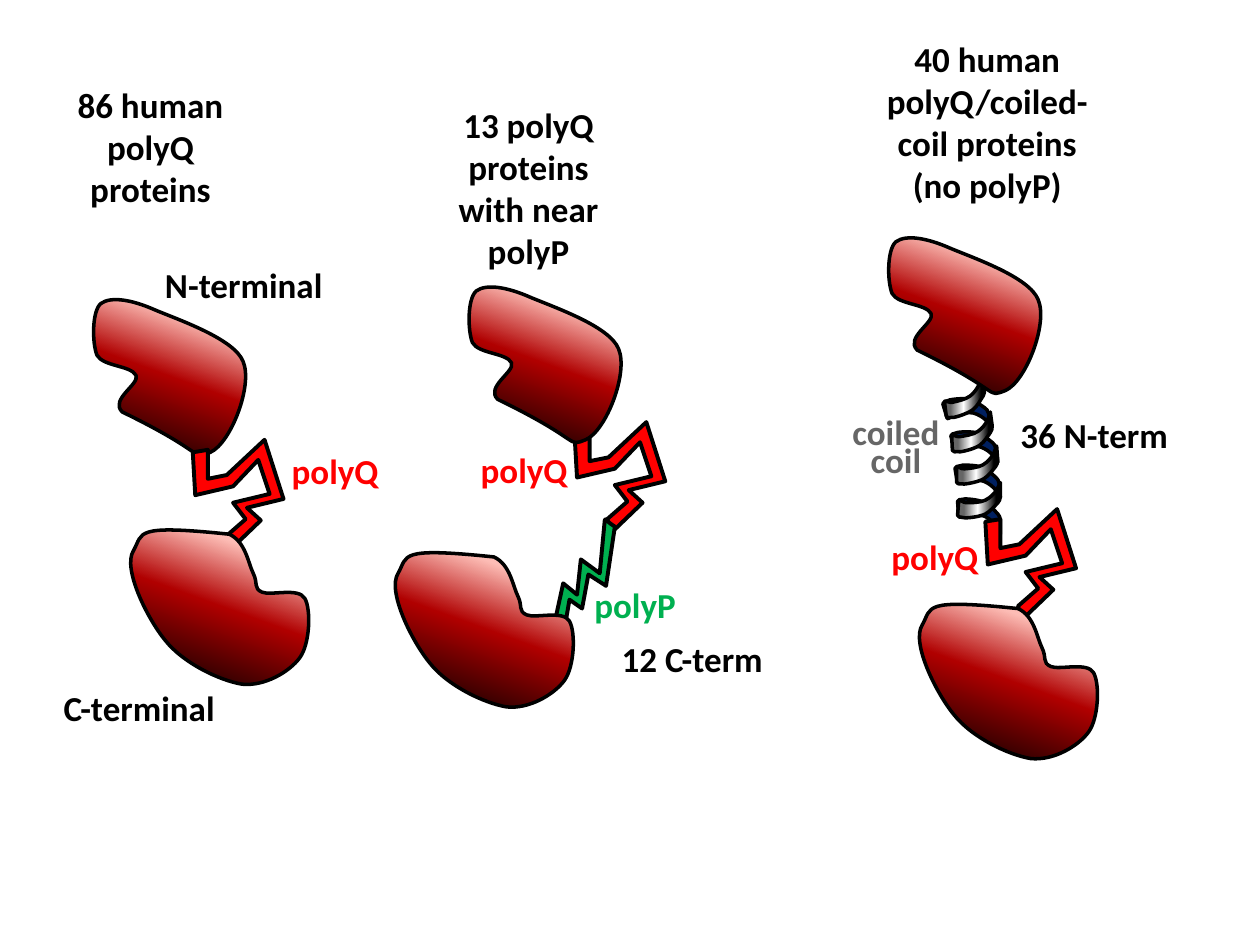
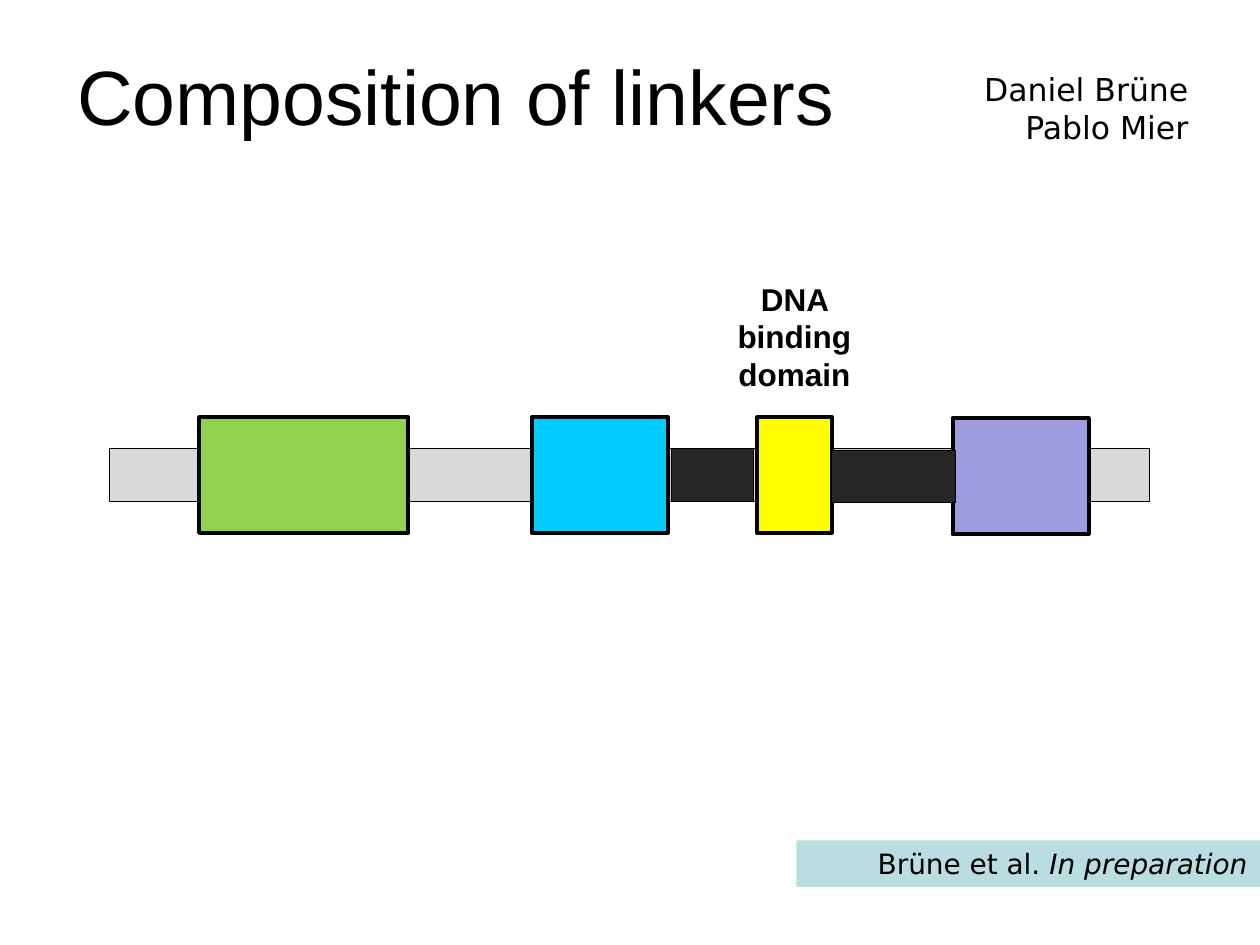
from dataclasses import dataclass
from math import cos, radians, sin

from pptx import Presentation
from pptx.dml.color import RGBColor
from pptx.enum.shapes import MSO_SHAPE
from pptx.enum.text import MSO_ANCHOR, PP_ALIGN
from pptx.oxml import parse_xml
from pptx.oxml.ns import nsdecls, qn
from pptx.oxml.xmlchemy import OxmlElement
from pptx.util import Inches, Pt


@dataclass(frozen=True)
class Theme:
    black: str = "000000"
    red: str = "FF0000"
    green: str = "00B050"
    gray: str = "666666"
    navy: str = "002060"
    footer: str = "BADDE1"
    chain: str = "D9D9D9"
    linker: str = "262626"
    # gradients: clockwise angle, then (percent, colour) stops
    domain: tuple = (110, (20, "FDBCB5"), (50, "B00000"), (96, "000000"))
    helix: tuple = (0, (15, "666666"), (47, "FFFFFF"), (90, "000000"))
    label_font: str = "Calibri"
    title_font: str = "Arial"
    credit_font: str = "DejaVu Sans"
    title_size: int = 44
    label_size: int = 20
    note_size: int = 18
    footer_size: int = 16
    hairline: float = 0.25
    curve_line: float = 2
    thick_line: float = 2.25


THEME = Theme()

# Outlines start at (0, 0), in hundredths of an inch: pairs are lines, sixes are curves.
N_DOMAIN = [
    (-18, -8, -35, -11, -43, -5), (-50, 1, -50, 26, -46, 36),
    (-41, 45, -19, 44, -15, 52), (-12, 59, -36, 71, -26, 81),
    (44, 115, 28, 119, 44, 113), (60, 106, 78, 60, 70, 41), (63, 23, 19, 8, 0, 0),
]
C_DOMAIN = [
    (18, 2, 38, -10, 46, -21), (54, -32, 55, -59, 50, -68),
    (45, -77, 23, -70, 16, -73), (9, -76, 13, -80, 9, -88),
    (5, -96, 3, -113, -10, -119), (-87, -127, -78, -120, -86, -106),
    (-95, -92, -75, -52, -61, -35), (-47, -17, -18, -3, 0, 0),
]
POLY_Q = [
    (25, -24), (14, -34), (43, -41), (28, -88), (-2, -60), (-17, -57), (-17, -80),
    (-29, -78), (-27, -44), (3, -51), (23, -72), (32, -45), (3, -38), (13, -25), (-3, -11),
]
POLY_P = [
    (0, 0, 5, 3, 8, 4), (12, -19), (22, -12), (27, -39), (41, -30), (48, -77),
    (40, -82, 41, -84, 40, -82), (36, -40), (21, -51), (18, -23), (7, -32),
]
COIL_TURN = [
    (-3, 6), (-5, 9, -8, 12, -12, 14), (-16, 16, -23, 16, -27, 16),
    (-30, 16, -32, 13, -33, 14), (-34, 26), (-33, 28, -33, 27, -28, 28),
    (-24, 28, -16, 27, -12, 25), (-8, 23, -4, 18, -2, 16), (0, 14, -1, 14, 0, 11),
]


def draw_outline(page, left, top, outline, fill, line_width, angle=0, mirror=1):
    """Draw a closed outline from (left, top), turned by angle; mirror=-1 flips it vertically."""
    turn_cos, turn_sin = cos(radians(angle)), sin(radians(angle))
    points = []
    for segment in outline:
        for x, y in zip(segment[::2], segment[1::2]):
            y *= mirror
            points.append((10 * (x * turn_cos - y * turn_sin), 10 * (x * turn_sin + y * turn_cos)))
    builder = page.shapes.build_freeform(0, 0, scale=Inches(1) / 1000)
    builder.add_line_segments(points, close=True)
    shape = builder.convert_to_shape(Inches(left), Inches(top))

    lines = iter(list(shape._element.iter(qn("a:lnTo"))))
    for segment in outline:
        steps = [next(lines) for _ in range(len(segment) // 2)]
        if len(steps) == 3:
            curve = OxmlElement("a:cubicBezTo")
            steps[0].addprevious(curve)
            for step in steps:
                curve.append(step[0])
                step.getparent().remove(step)

    shape.shadow.inherit = False
    shape.line.color.rgb = RGBColor.from_string(THEME.black)
    shape.line.width = Pt(line_width)
    if isinstance(fill, str):
        shape.fill.solid()
        shape.fill.fore_color.rgb = RGBColor.from_string(fill)
        return
    direction, *stops = fill
    shape.fill.gradient()
    shape.fill.gradient_angle = (360 - direction) % 360
    stop_list = next(shape._element.iter(qn("a:gsLst")))
    for stop in list(stop_list):
        stop_list.remove(stop)
    for percent, color in stops:
        stop_list.append(parse_xml(
            f'<a:gs {nsdecls("a")} pos="{percent * 1000}"><a:srgbClr val="{color}"/></a:gs>'))


def add_label(page, box, lines, color=THEME.black, font=THEME.label_font,
              size=THEME.label_size, bold=True, align=PP_ALIGN.CENTER, spacing=None):
    label = page.shapes.add_textbox(*map(Inches, box))
    frame = label.text_frame
    frame.word_wrap = True
    frame.text = lines
    for para in frame.paragraphs:
        para.alignment = align
        para.line_spacing = spacing
        para.font.name, para.font.size, para.font.bold = font, Pt(size), bold
        para.font.color.rgb = RGBColor.from_string(color)
    return label


deck = Presentation()
deck.slide_width, deck.slide_height = Inches(10), Inches(7.5)

# Slide 1: three protein architectures
page = deck.slides.add_slide(deck.slide_layouts[6])

# First protein: polyQ only
draw_outline(page, 1.23, 2.46, N_DOMAIN, THEME.domain, THEME.curve_line)
draw_outline(page, 1.82, 4.37, POLY_Q, THEME.red, THEME.thick_line)
draw_outline(page, 1.92, 5.43, C_DOMAIN, THEME.domain, THEME.curve_line)

# Second protein: polyQ followed by polyP
draw_outline(page, 4.85, 4.23, POLY_Q, THEME.red, THEME.thick_line)
draw_outline(page, 4.4, 4.95, POLY_P, THEME.green, THEME.thick_line)
draw_outline(page, 4.21, 2.36, N_DOMAIN, THEME.domain, THEME.curve_line)
draw_outline(page, 4.02, 5.61, C_DOMAIN, THEME.domain, THEME.curve_line)

# Third protein: coiled coil before polyQ; each turn has a back and a front ribbon
coil_turns = [
    (-12, (7.87, 3.39), (7.79, 2.98)),
    (-8, (7.92, 3.67), (7.86, 3.27)),
    (-4.6, (7.94, 3.95), (7.91, 3.54)),
    (0, (7.94, 4.24), (7.94, 3.83)),
]
for angle, back, front in coil_turns:
    draw_outline(page, *back, COIL_TURN, THEME.navy, THEME.curve_line, angle, mirror=-1)
    draw_outline(page, *front, COIL_TURN, THEME.helix, THEME.curve_line, angle)
draw_outline(page, 8.11, 4.92, POLY_Q, THEME.red, THEME.thick_line)
draw_outline(page, 8.18, 6.02, C_DOMAIN, THEME.domain, THEME.curve_line)
draw_outline(page, 7.54, 1.97, N_DOMAIN, THEME.domain, THEME.curve_line)

for box, text in [
    ((0.36, 0.61, 1.67, 1.11), "86 human polyQ proteins"),
    ((3.36, 0.77, 1.67, 1.11), "13 polyQ\nproteins with near polyP"),
    ((6.84, 0.25, 1.99, 1.45), "40 human polyQ/coiled-coil proteins\n(no polyP)"),
    ((1.1, 2.04, 1.67, 0.44), "N-terminal"),
    ((0.27, 5.4, 1.67, 0.44), "C-terminal"),
    ((4.66, 5.01, 1.67, 0.44), "12 C-term"),
    ((7.85, 3.23, 1.67, 0.44), "36 N-term"),
]:
    add_label(page, box, text)
for left, top in [(2.2, 3.52), (3.7, 3.51), (6.96, 4.2)]:
    add_label(page, (left, top, 0.92, 0.44), "polyQ", THEME.red)
add_label(page, (4.58, 4.58, 0.92, 0.44), "polyP", THEME.green)
add_label(page, (6.65, 3.32, 0.92, 0.56), "coiled coil", THEME.gray, spacing=Pt(16))

# Slide 2: linkers between domains
page = deck.slides.add_slide(deck.slide_layouts[5])
title = page.shapes.title
title.left, title.top, title.width, title.height = map(Inches, (0.25, 0, 6.74, 1.5))
title.text_frame.text = "Composition of linkers"
title.text_frame.vertical_anchor = MSO_ANCHOR.MIDDLE
para = title.text_frame.paragraphs[0]
para.alignment = PP_ALIGN.CENTER
para.font.name, para.font.size = THEME.title_font, Pt(THEME.title_size)
para.font.color.rgb = RGBColor.from_string(THEME.black)

authors = add_label(page, (7.71, 0.5, 1.82, 0.71), "Daniel Brüne\nPablo Mier",
                    font=THEME.credit_font, size=THEME.note_size, bold=False,
                    align=PP_ALIGN.RIGHT)
authors.text_frame.vertical_anchor = MSO_ANCHOR.MIDDLE

footer_box = (6.32, 6.67, 3.68, 0.37)
for box, color, line_width in [
    (footer_box, THEME.footer, None),
    ((0.87, 3.56, 8.25, 0.42), THEME.chain, THEME.hairline),
    ((1.58, 3.31, 1.66, 0.92), "92D050", THEME.thick_line),
    ((4.22, 3.31, 1.08, 0.92), "00CCFF", THEME.thick_line),
    ((6.01, 3.31, 0.59, 0.92), "FFFF00", THEME.thick_line),
    ((7.56, 3.32, 1.08, 0.92), "9C9CDF", THEME.thick_line),
    ((5.33, 3.56, 0.65, 0.42), THEME.linker, THEME.hairline),
    ((6.6, 3.57, 0.98, 0.42), THEME.linker, THEME.hairline),
]:
    block = page.shapes.add_shape(MSO_SHAPE.RECTANGLE, *map(Inches, box))
    block.shadow.inherit = False
    block.fill.solid()
    block.fill.fore_color.rgb = RGBColor.from_string(color)
    if line_width:
        block.line.color.rgb = RGBColor.from_string(THEME.black)
        block.line.width = Pt(line_width)
        continue
    block.line.fill.background()
    para = block.text_frame.paragraphs[0]
    para.alignment = PP_ALIGN.RIGHT
    para.add_run().text = "Brüne et al. "
    span = para.add_run()
    span.text = "In preparation"
    span.font.italic = True
    para.font.name, para.font.size = THEME.credit_font, Pt(THEME.footer_size)
    para.font.color.rgb = RGBColor.from_string(THEME.black)

add_label(page, (5.62, 2.17, 1.37, 1.01), "DNA binding domain",
          font=THEME.title_font, size=THEME.note_size)

deck.save("out.pptx")
